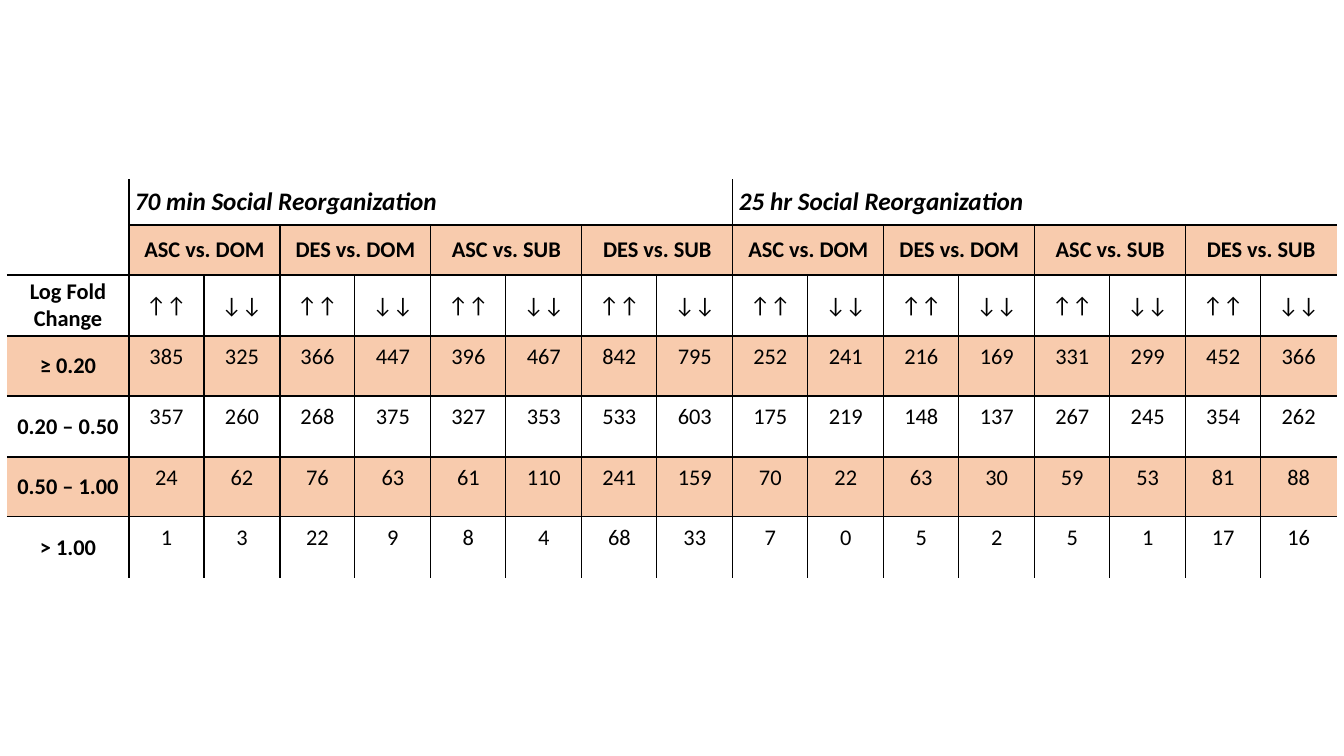
from pptx import Presentation
from pptx.dml.color import RGBColor
from pptx.enum.text import MSO_ANCHOR, PP_ALIGN
from pptx.oxml import parse_xml
from pptx.oxml.ns import nsdecls
from pptx.util import Pt

PX = 12192000 / 1344
COLORS = {"ink": "000000", "band": "F8CBAD"}
TIMES = ["70 min Social Reorganization", "25 hr Social Reorganization"]
PAIRS = ["ASC vs. DOM", "DES vs. DOM", "ASC vs. SUB", "DES vs. SUB"]
COUNTS = {
    "≥ 0.20": [385, 325, 366, 447, 396, 467, 842, 795,
               252, 241, 216, 169, 331, 299, 452, 366],
    "0.20 – 0.50": [357, 260, 268, 375, 327, 353, 533, 603,
                    175, 219, 148, 137, 267, 245, 354, 262],
    "0.50 – 1.00": [24, 62, 76, 63, 61, 110, 241, 159,
                    70, 22, 63, 30, 59, 53, 81, 88],
    "> 1.00": [1, 3, 22, 9, 8, 4, 68, 33,
               7, 0, 5, 2, 5, 1, 17, 16],
}
WIDTHS = [122] + [75, 76] * 8
HEIGHTS = [46, 50, 61, 60, 61, 60, 61]
ROWS, COLS = len(HEIGHTS), len(WIDTHS)


def px(n):
    return round(n * PX)


def rule(cell, sides):
    """Draw black 1 pt lines on the given sides and none on the others."""
    props = cell._tc.get_or_add_tcPr()
    for i, side in enumerate("LRTB"):
        paint = (f'<a:solidFill><a:srgbClr val="{COLORS["ink"]}"/></a:solidFill>'
                 if side in sides else "<a:noFill/>")
        line = f'<a:ln{side} {nsdecls("a")} w="{Pt(1)}">{paint}</a:ln{side}>'
        props.insert(i, parse_xml(line))


prs = Presentation()
prs.slide_width, prs.slide_height = px(1344), px(756)
slide = prs.slides.add_slide(prs.slide_layouts[6])

# Table frame
frame = slide.shapes.add_table(ROWS, COLS, px(7), px(179),
                               px(sum(WIDTHS)), px(sum(HEIGHTS)))
table = frame.table
table.first_row = table.horz_banding = False
for col, width in zip(table.columns, WIDTHS):
    col.width = px(width)
for row, height in zip(table.rows, HEIGHTS):
    row.height = px(height)

# Merged headings
table.cell(0, 0).merge(table.cell(1, 0))
for c in (1, 9):
    table.cell(0, c).merge(table.cell(0, c + 7))
for c in range(1, COLS, 2):
    table.cell(1, c).merge(table.cell(1, c + 1))

# Wording by row
grid = [
    [""] + [t for time in TIMES for t in [time] + [""] * 7],
    [""] + [t for pair in PAIRS * 2 for t in (pair, "")],
    ["Log Fold Change"] + ["↑↑", "↓↓"] * 8,
]
grid += [[label] + nums for label, nums in COUNTS.items()]

# Cell text, fill and inner lines
for r, line in enumerate(grid):
    for c, text in enumerate(line):
        cell = table.cell(r, c)
        if r in (3, 5) or (r == 1 and c > 0):
            cell.fill.solid()
            cell.fill.fore_color.rgb = RGBColor.from_string(COLORS["band"])
        else:
            cell.fill.background()

        count = r > 2 and c > 0
        cell.margin_left = cell.margin_right = px(7 if count else 6)
        cell.margin_top = cell.margin_bottom = px(7 if count else 3)
        cell.vertical_anchor = MSO_ANCHOR.TOP if count else MSO_ANCHOR.MIDDLE

        cell.text = str(text)
        para = cell.text_frame.paragraphs[0]
        para.alignment = PP_ALIGN.LEFT if r == 0 else PP_ALIGN.CENTER
        font = para.font
        font.name = "Calibri"
        font.size = Pt(18 if r == 0 else 16)
        font.bold = r < 2 or c == 0
        font.italic = r == 0
        font.color.rgb = RGBColor.from_string(COLORS["ink"])

        # Lines run between cells, never inside a merged one
        step = {0: 8, 1: 2}.get(r, 1)
        sides = ""
        if c > 0 and (c - 1) % step == 0:
            sides += "L"
        if c < COLS - 1 and c % step == 0:
            sides += "R"
        if r > 0 and (r, c) != (1, 0):
            sides += "T"
        if r < ROWS - 1 and (r, c) != (0, 0):
            sides += "B"
        rule(cell, sides)

prs.save("out.pptx")
